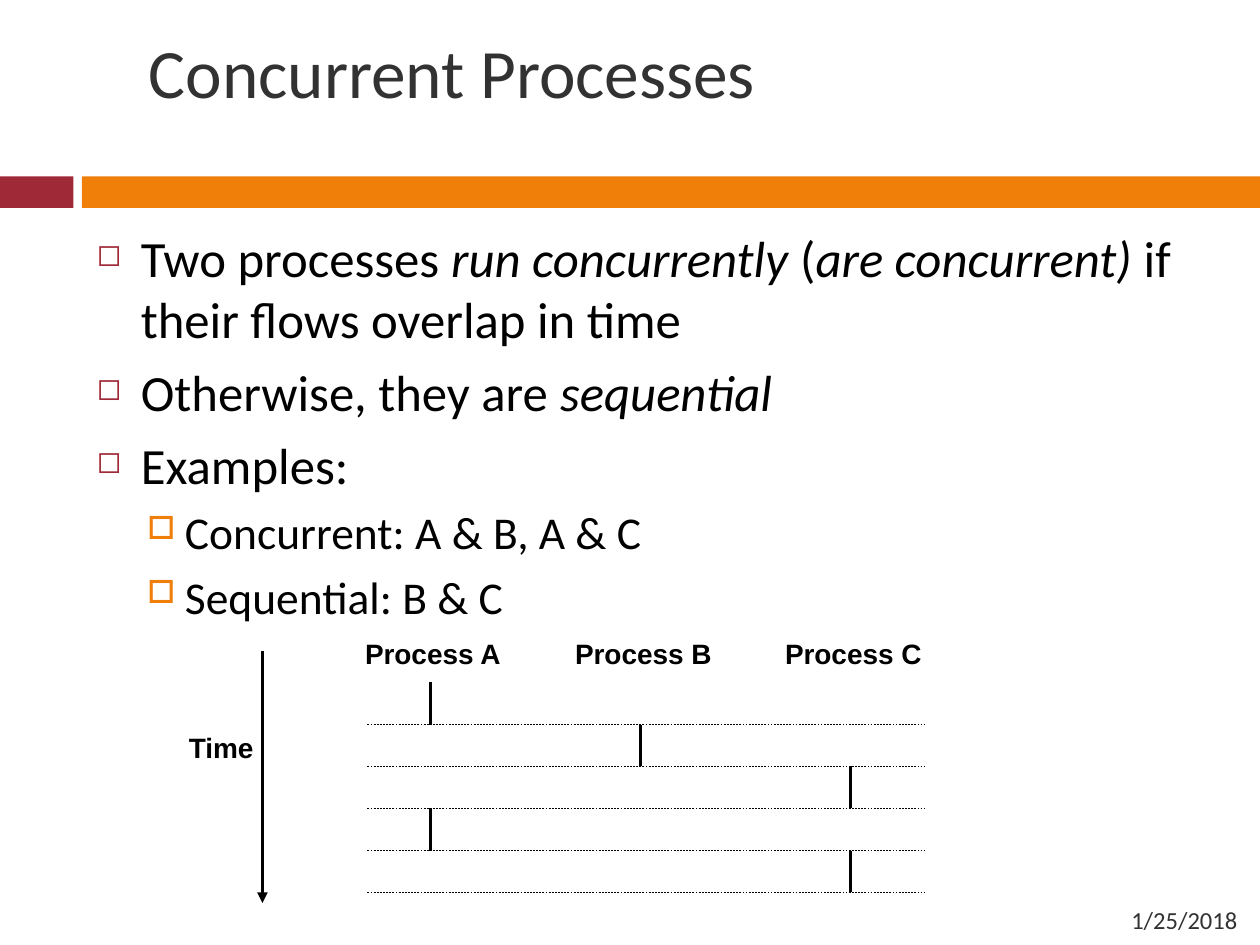
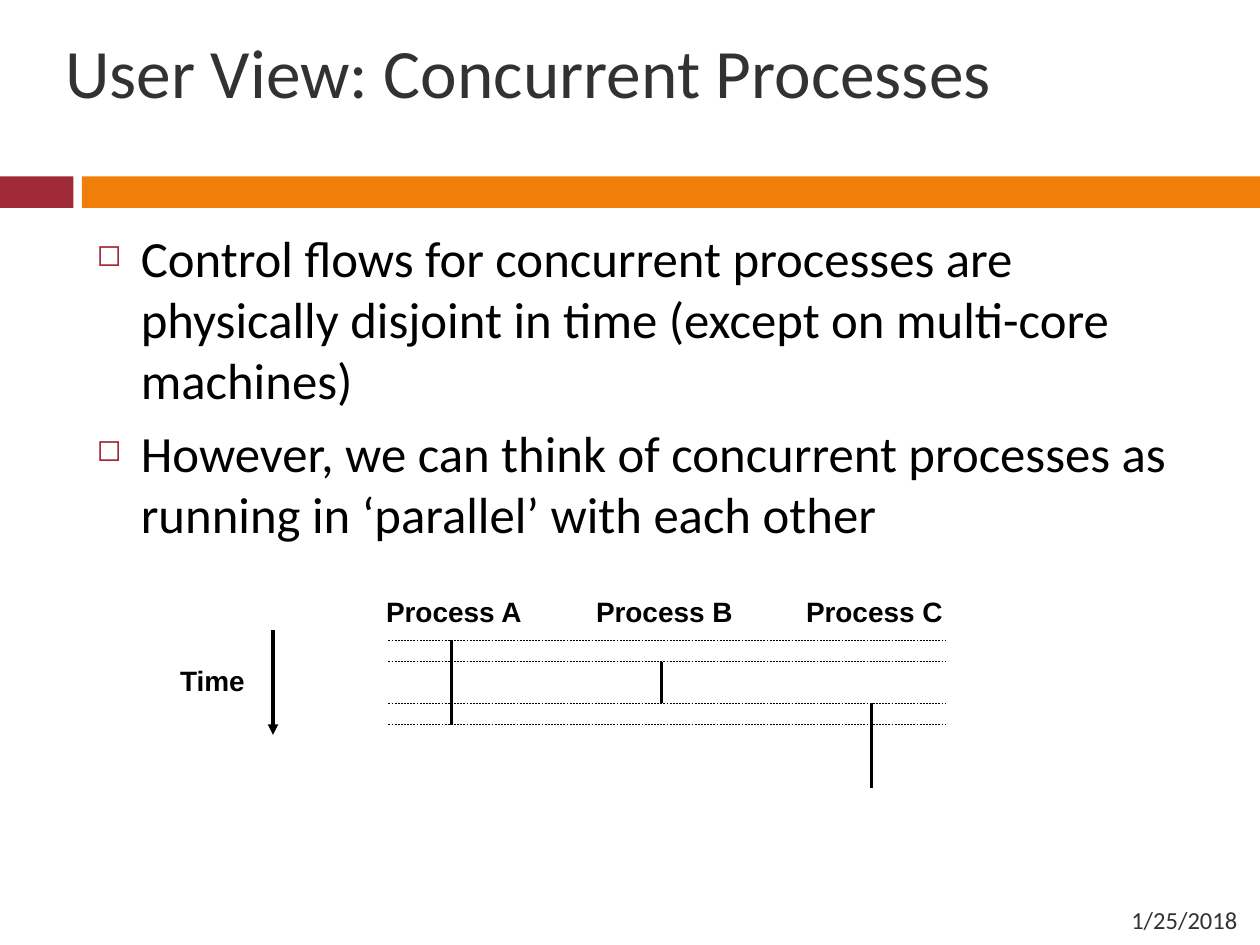
from lxml.etree import SubElement
from pptx import Presentation
from pptx.dml.color import RGBColor
from pptx.enum.dml import MSO_LINE
from pptx.enum.shapes import MSO_CONNECTOR, MSO_SHAPE
from pptx.enum.text import MSO_ANCHOR, MSO_AUTO_SIZE, PP_ALIGN
from pptx.oxml.ns import qn
from pptx.util import Pt

RED = RGBColor(0x9F, 0x29, 0x36)
ORANGE = RGBColor(0xF0, 0x7F, 0x09)
GRAY = RGBColor(0x32, 0x32, 0x32)
BLACK = RGBColor(0, 0, 0)

# Per level: size, space before, left indent, hanging, bullet, colour, bullet %
LEVELS = [
    (29, 7, 25.2, 25.2, "\u25fb", RED, 60),
    (26, 5.5, 50.4, 21.6, "\u25a1", ORANGE, 70),
]
COLUMN_GAP = 120


class Deck:
    """Shared style and the current slide."""

    def __init__(self):
        self.prs = Presentation()
        self.prs.slide_width, self.prs.slide_height = Pt(720), Pt(540)

    def slide(self, title, title_left, title_width):
        self.s = self.prs.slides.add_slide(self.prs.slide_layouts[6])
        self.band(0, 42, RED)
        self.band(46.8, 673.2, ORANGE)
        tf = self.box(title_left, 18, title_width, 45.4, MSO_ANCHOR.MIDDLE)
        self.run(tf.paragraphs[0], title, 39.6, GRAY)
        tf = self.box(504, 511.2, 210.2, 28.8, MSO_ANCHOR.MIDDLE)
        tf.paragraphs[0].alignment = PP_ALIGN.RIGHT
        self.run(tf.paragraphs[0], "1/25/2018", 14, GRAY)

    def band(self, x, w, color):
        sp = self.s.shapes.add_shape(MSO_SHAPE.RECTANGLE, Pt(x), Pt(100.8), Pt(w), Pt(18))
        sp.shadow.inherit = False
        sp.fill.solid()
        sp.fill.fore_color.rgb = color
        sp.line.fill.background()

    def box(self, x, y, w, h, anchor=MSO_ANCHOR.TOP):
        tf = self.s.shapes.add_textbox(Pt(x), Pt(y), Pt(w), Pt(h)).text_frame
        tf.word_wrap = True
        tf.vertical_anchor = anchor
        return tf

    def run(self, p, text, size, color, font="Calibri", bold=None, italic=None):
        r = p.add_run()
        r.text = text
        r.font.name, r.font.size = font, Pt(size)
        r.font.bold, r.font.italic = bold, italic
        r.font.color.rgb = color

    def body(self, items):
        """Each item is a level and its runs; every second run is italic."""
        tf = self.box(48.2, 126, 642.2, 372.2)
        for i, (level, runs) in enumerate(items):
            size, before, left, hanging, char, color, percent = LEVELS[level]
            p = tf.add_paragraph() if i else tf.paragraphs[0]
            p.level = level
            p.space_before = Pt(before)
            pPr = p._p.get_or_add_pPr()
            pPr.set("marL", str(Pt(left)))
            pPr.set("indent", str(-Pt(hanging)))
            SubElement(SubElement(pPr, qn("a:buClr")), qn("a:srgbClr")).set("val", str(color))
            SubElement(pPr, qn("a:buSzPct")).set("val", str(percent * 1000))
            SubElement(pPr, qn("a:buChar")).set("char", char)
            for k, text in enumerate(runs):
                self.run(p, text, size, BLACK, italic=k % 2 == 1)

    def label(self, x, y, w, text):
        tf = self.box(x, y, w, 26.6)
        tf.word_wrap = False
        tf.auto_size = MSO_AUTO_SIZE.SHAPE_TO_FIT_TEXT
        self.run(tf.paragraphs[0], text, 16, BLACK, "Arial", bold=True)

    def line(self, x1, y1, x2, y2, width=2, dashed=False, arrow=False):
        sp = self.s.shapes.add_connector(
            MSO_CONNECTOR.STRAIGHT, Pt(x1), Pt(y1), Pt(x2), Pt(y2))
        sp.line.width = Pt(width)
        sp.line.color.rgb = BLACK
        if dashed:
            sp.line.dash_style = MSO_LINE.DASH
        if arrow:
            SubElement(sp.line._get_or_add_ln(), qn("a:tailEnd")).set("type", "triangle")
        SubElement(sp._element.spPr, qn("a:effectLst"))

    def time_axis(self, x, top, bottom, label_x, label_y):
        self.line(x, top, x, bottom, arrow=True)
        self.label(label_x, label_y, 51.8, "Time")

    def timeline(self, first_x, label_y, spans, rules):
        """Spans are (column, top), each 24 pt long; rules are heights."""
        for column, name in enumerate("ABC"):
            self.label(first_x - 44.5 + column * COLUMN_GAP, label_y, 92.9, f"Process {name}")
        for column, top in spans:
            x = first_x + column * COLUMN_GAP
            self.line(x, top, x, top + 24)
        for y in rules:
            self.line(first_x - 36, y, first_x + 282, y, 0.25, dashed=True)


deck = Deck()

# Slide 1: definition and interleaved flows
deck.slide("Concurrent Processes", 77.8, 478)
deck.body([
    (0, ["Two processes ", "run concurrently", " (", "are concurrent)",
         " if their flows overlap in time"]),
    (0, ["Otherwise, they are ", "sequential"]),
    (0, ["Examples:"]),
    (1, ["Concurrent: A & B, A & C"]),
    (1, ["Sequential: B & C"]),
])
deck.time_axis(150, 372, 516, 100.8, 414)
deck.timeline(246, 360,
              [(column, 390 + 24 * i) for i, column in enumerate([0, 1, 2, 0, 2])],
              range(414, 511, 24))

# Slide 2: flows as the user sees them
deck.slide("User View: Concurrent Processes", 30.2, 666)
deck.body([
    (0, ["Control flows for concurrent processes are physically disjoint in time "
         "(except on multi-core machines)"]),
    (0, ["However, we can think of concurrent processes as running in "
         "\u2018parallel\u2019 with each other"]),
])
deck.time_axis(156, 360, 420, 95.8, 375.8)
deck.timeline(258, 336,
              [(0, 366), (0, 390), (1, 378), (2, 402), (2, 426)],
              [366, 378, 402, 414])

deck.prs.save("out.pptx")
